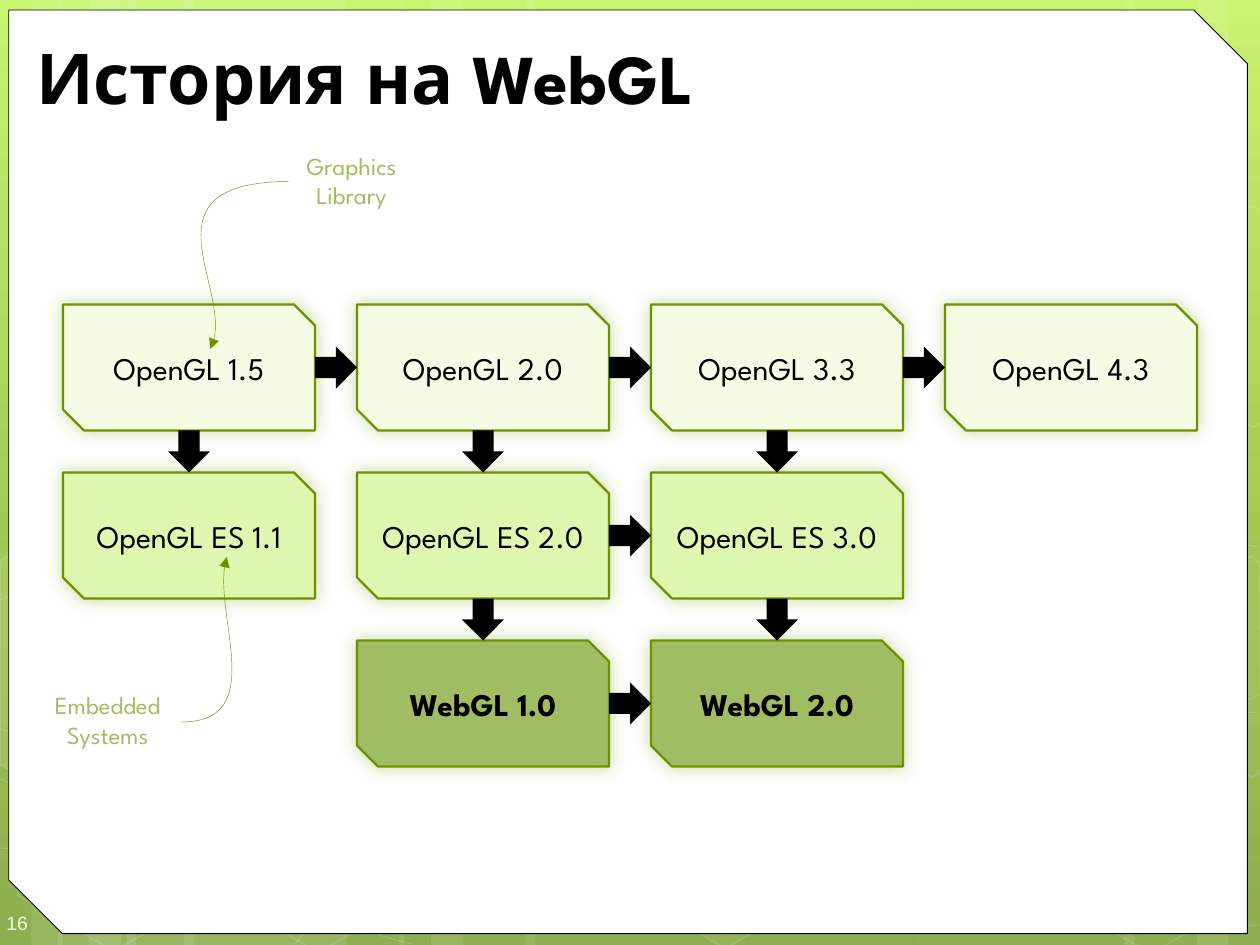
import math
import copy
from dataclasses import dataclass

import pptx
import pptx.dml.color
import pptx.enum.shapes
import pptx.enum.text
import pptx.oxml
import pptx.oxml.ns
import pptx.util

Inches = pptx.util.Inches
Pt = pptx.util.Pt
SHAPE = pptx.enum.shapes.MSO_SHAPE
ALIGN = pptx.enum.text.PP_ALIGN
ANCHOR = pptx.enum.text.MSO_ANCHOR
qn = pptx.oxml.ns.qn
NS = pptx.oxml.ns.nsdecls("a")


@dataclass(frozen=True)
class Theme:
    font: str = "League Spartan"
    number_font: str = "Arial"
    black: str = "000000"
    white: str = "FFFFFF"
    edge: str = "6D9200"
    glow: str = "74A510"
    note: str = "A1BD63"
    number: str = "EEFFD6"
    rows: tuple = ("F4FCE4", "DFF7AE", "A1BD63")
    backdrop: tuple = ((0, "C3F35F"), (0.62, "93BF3F"), (1, "81A53E"))
    title_size: int = 40
    box_size: int = 18
    note_size: int = 14
    number_size: int = 11


THEME = Theme()

# Diagram grid: boxes of 2 x 1 inches with gaps of a third of an inch
LEFT, TOP, BOX_W, BOX_H, GAP = 0.5, 29 / 12, 2, 1, 1 / 3
BOXES = [
    ["OpenGL 1.5", "OpenGL 2.0", "OpenGL 3.3", "OpenGL 4.3"],
    ["OpenGL ES 1.1", "OpenGL ES 2.0", "OpenGL ES 3.0"],
    [None, "WebGL 1.0", "WebGL 2.0"],
]

# Translucent backdrop: left, width and rotation of each band
BANDS = [(1, 1.75, 0), (0, 0.5, 0), (0.25, 0.83, 0), (1.46, 1.75, 0), (0.46, 0.5, 0), (0.71, 0.83, 0),
         (7.25, 1.75, 180), (9.5, 0.5, 180), (8.92, 0.83, 180),
         (4.17, 3.08, 0), (3.17, 0.5, 0), (3.42, 0.83, 0)]
# Each curve is a start point followed by groups of three Bezier points
CURVES = [
    [(-0.01, 6.73), (0.53, 6.76), (1.07, 6.79), (1.82, 6.78), (2.57, 6.77), (3.49, 6.75), (4.5, 6.65),
     (5.5, 6.55), (6.92, 6.36), (7.83, 6.17), (8.75, 5.98), (9.69, 5.68), (9.99, 5.51)],
    [(-0.01, 4.77), (0.28, 4.61), (0.56, 4.46), (1.13, 4.31), (1.7, 4.16), (2.5, 3.94), (3.39, 3.87),
     (4.28, 3.8), (5.36, 3.79), (6.46, 3.87), (7.56, 3.95), (9.39, 4.26), (9.99, 4.34)],
    [(-0.02, 6.17), (1.18, 6.72), (2.39, 7.27), (3.26, 7.49)],
    [(-0.01, 5.78), (0.3, 5.89), (0.61, 6), (1.2, 6.16), (1.78, 6.31), (2.65, 6.56), (3.48, 6.73),
     (4.32, 6.9), (5.37, 7.08), (6.2, 7.18), (7.02, 7.29), (7.91, 7.33), (8.44, 7.36),
     (8.97, 7.4), (9.11, 7.38), (9.37, 7.38), (9.62, 7.37), (9.81, 7.35), (9.99, 7.34)],
    [(2.34, 7.49), (2.52, 7.29), (2.69, 7.09), (2.94, 6.91), (3.18, 6.73), (3.51, 6.53), (3.79, 6.39),
     (4.07, 6.25), (4.24, 6.19), (4.61, 6.09), (4.98, 5.99), (5.65, 5.85), (6, 5.78),
     (6.35, 5.71), (6.41, 5.71), (6.72, 5.69), (7.03, 5.66), (7.51, 5.63), (7.86, 5.62),
     (8.2, 5.61), (8.78, 5.62), (8.78, 5.62), (9, 5.62), (9.22, 5.62), (9.44, 5.62),
     (9.63, 5.63), (9.8, 5.64), (9.88, 5.65), (9.97, 5.66), (9.94, 5.65), (9.98, 5.66)],
]
# Left, top, fill opacity and line opacity of the honeycomb cells
HEXAGONS = [(3.28, 3.13, 10, 12), (4.07, 4.51, 0, 12), (4.08, 1.74, 7, 8), (3.26, 0.36, 4, 8),
            (4.88, 5.89, 6, 12), (0.03, 5.91, 0, 12), (0.06, 3.12, 7, 8), (0.85, 4.51, 0, 12),
            (1.65, 5.92, 0, 12), (1.67, 3.13, 7, 8), (0.87, 1.71, 0, 12), (7.44, 4.53, 10, 12),
            (8.26, 5.93, 0, 12), (8.26, 3.14, 7, 8)]
# Cells cut off by the slide's sides: corners, centre of rotation, fill opacity
CUT_HEXAGONS = [
    ([(0, 4.45), (0.11, 4.38), (0.87, 4.82), (0.87, 5.7), (0.12, 6.14), (0, 6.07)], (0.27, 5.35), 10),
    ([(9.18, 4.85), (9.93, 4.41), (10, 4.46), (10.01, 6.13), (9.94, 6.17), (9.17, 5.73)], (9.77, 5.2), 4),
    ([(9.18, 2.07), (9.93, 1.63), (10.01, 1.68), (10.01, 3.35), (9.94, 3.39), (9.17, 2.95)], (9.77, 2.41), 0),
]


def rgb(value):
    return pptx.dml.color.RGBColor.from_string(value)


def set_paint(fill, color, opacity=100):
    """Fill with a colour; no opacity or no colour means no fill."""
    if not color or not opacity:
        fill.background()
        return
    fill.solid()
    fill.fore_color.rgb = rgb(color)
    if opacity < 100:
        node = fill._xPr.find(qn("a:solidFill")).find(qn("a:srgbClr"))
        node.append(pptx.oxml.parse_xml(f'<a:alpha {NS} val="{opacity * 1000}"/>'))


def style(sp, fill=None, opacity=100, line=None, width=1, line_opacity=100):
    sp.shadow.inherit = False
    set_paint(sp.fill, fill, opacity)
    set_paint(sp.line.fill, line, line_opacity)
    if line:
        sp.line.width = Pt(width)
    return sp


def add_shape(slide, kind, x, y, w, h, **look):
    sp = slide.shapes.add_shape(kind, Inches(x), Inches(y), Inches(w), Inches(h))
    return style(sp, **look)


def add_outline(slide, points, closed=False, **look):
    (x, y), *rest = [(Inches(px), Inches(py)) for px, py in points]
    builder = slide.shapes.build_freeform(x, y)
    builder.add_line_segments(rest, close=closed)
    return style(builder.convert_to_shape(), **look)


def bezier_points(points, steps=24):
    """Points along a chain of cubic Bezier segments."""
    result = [points[0]]
    for i in range(0, len(points) - 1, 3):
        a, b, c, d = points[i:i + 4]
        for t in (n / steps for n in range(1, steps + 1)):
            u = 1 - t
            result.append(tuple(u**3 * a[k] + 3 * u * u * t * b[k] + 3 * u * t * t * c[k] + t**3 * d[k]
                                for k in (0, 1)))
    return result


def add_curve(slide, points, **look):
    """The sampled outline gives the frame; its segments become Bezier curves."""
    sp = add_outline(slide, bezier_points(points), **look)
    outline = sp._element.find(".//" + qn("a:pathLst"))[0]
    for segment in outline.findall(qn("a:lnTo")):
        outline.remove(segment)
    for i in range(1, len(points), 3):
        pts = "".join(f'<a:pt x="{Inches(x) - sp.left}" y="{Inches(y) - sp.top}"/>'
                      for x, y in points[i:i + 3])
        outline.append(pptx.oxml.parse_xml(f"<a:cubicBezTo {NS}>{pts}</a:cubicBezTo>"))
    return sp


def turn(point, center, degrees):
    angle = math.radians(degrees)
    dx, dy = point[0] - center[0], point[1] - center[1]
    return (center[0] + dx * math.cos(angle) - dy * math.sin(angle),
            center[1] + dx * math.sin(angle) + dy * math.cos(angle))


def add_text(slide, x, y, w, h, text, **fmt):
    write_text(slide.shapes.add_textbox(Inches(x), Inches(y), Inches(w), Inches(h)), text, **fmt)


def write_text(sp, text, size, color, font=THEME.font, bold=False, align=ALIGN.CENTER,
               wrap=False, insets=(0.1, 0.05, 0.1, 0.05), anchor=ANCHOR.MIDDLE):
    tf = sp.text_frame
    tf.word_wrap = wrap
    tf.vertical_anchor = anchor
    tf.margin_left, tf.margin_top, tf.margin_right, tf.margin_bottom = map(Inches, insets)
    tf.text = text
    for p in tf.paragraphs:
        p.alignment = align
        for r in p.runs:
            r.font.name, r.font.size, r.font.bold = font, Pt(size), bold
            r.font.color.rgb = rgb(color)


def add_box(slide, x, y, text, fill, bold):
    sp = add_shape(slide, SHAPE.SNIP_2_DIAG_RECTANGLE, x, y, BOX_W, BOX_H,
                   fill=fill, line=THEME.edge, width=1.25)
    write_text(sp, text, THEME.box_size, THEME.black, bold=bold, insets=(0, 0.05, 0, 0.05))
    sp._element.spPr.find(qn("a:effectLst")).append(pptx.oxml.parse_xml(
        f'<a:outerShdw {NS} blurRad="{Pt(10)}" dist="0" dir="2700000" rotWithShape="0">'
        f'<a:srgbClr val="{THEME.glow}"><a:alpha val="40000"/></a:srgbClr></a:outerShdw>'))


def add_arrow(slide, x, y, rotation=0):
    add_shape(slide, SHAPE.RIGHT_ARROW, x, y, GAP, GAP, fill=THEME.black).rotation = rotation


def add_callout(slide, x, y, w, h, text, curve):
    add_text(slide, x, y, w, h, text, size=THEME.note_size, color=THEME.note, anchor=ANCHOR.TOP)
    sp = add_curve(slide, curve, line=THEME.edge, width=0.25)
    sp.line._get_or_add_ln().append(pptx.oxml.parse_xml(f'<a:tailEnd {NS} type="triangle"/>'))


def add_backdrop(slide):
    # Gradient
    fill = slide.background.fill
    fill.gradient()
    fill.gradient_angle = 270
    stops = slide._element.find(".//" + qn("a:gsLst"))
    stops.append(copy.deepcopy(stops[-1]))
    for stop, (position, color) in zip(fill.gradient_stops, THEME.backdrop):
        stop.position = position
        stop.color.rgb = rgb(color)
    # Bands, curves and honeycomb
    for x, w, rotation in BANDS:
        add_shape(slide, SHAPE.RECTANGLE, x, 0, w, 7.5, fill=THEME.white, opacity=10).rotation = rotation
    for curve in CURVES:
        add_curve(slide, curve, line=THEME.white, width=0.5, line_opacity=20)
    look = dict(fill=THEME.white, line=THEME.white)
    for x, y, opacity, line_opacity in HEXAGONS:
        sp = add_shape(slide, SHAPE.HEXAGON, x, y, 1.75, 1.52,
                       opacity=opacity, line_opacity=line_opacity, **look)
        sp.adjustments[0], sp.adjustments[1] = 0.285, 1.155
        sp.rotation = 30
    for points, center, opacity in CUT_HEXAGONS:
        upright = [turn(point, center, -30) for point in points]
        add_outline(slide, upright, closed=True, opacity=opacity, line_opacity=12, **look).rotation = 30
    # White panel
    sp = add_shape(slide, SHAPE.SNIP_2_DIAG_RECTANGLE, 0.07, 0.08, 9.83, 7.33,
                   fill=THEME.white, line=THEME.black, width=0.5)
    sp.adjustments[0], sp.adjustments[1] = 0, 0.058


def add_diagram(slide):
    cells = {(row, col): (LEFT + col * (BOX_W + GAP), TOP + row * (BOX_H + GAP))
             for row, names in enumerate(BOXES) for col, name in enumerate(names) if name}
    for (row, col), (x, y) in cells.items():
        add_box(slide, x, y, BOXES[row][col], THEME.rows[row], bold=row == 2)
    # Arrows to the next box, except between the first two ES versions
    for (row, col), (x, y) in cells.items():
        if (row, col + 1) in cells and (row, col) != (1, 0):
            add_arrow(slide, x + BOX_W, y + (BOX_H - GAP) / 2)
        if (row + 1, col) in cells:
            add_arrow(slide, x + (BOX_W - GAP) / 2, y + BOX_H, rotation=90)


def main():
    prs = pptx.Presentation()
    prs.slide_width, prs.slide_height = Inches(10), Inches(7.5)
    slide = prs.slides.add_slide(prs.slide_layouts[6])
    add_backdrop(slide)
    # Slide number and title
    add_text(slide, 0, 7.1, 0.58, 0.4, "16", size=THEME.number_size, color=THEME.number,
             font=THEME.number_font, align=ALIGN.LEFT, wrap=True, insets=(0.05, 0.15, 0, 0.1))
    add_text(slide, 0.19, 0.25, 9.47, 0.71, "История на WebGL", size=THEME.title_size,
             color=THEME.black, bold=True, align=ALIGN.LEFT, wrap=True)
    add_diagram(slide)
    # Explanations of the abbreviations
    add_callout(slide, 0.21, 5.43, 1.29, 0.57, "Embedded\vSystems",
                [(1.44, 5.73), (2.12, 5.73), (1.67, 4.84), (1.8, 4.42)])
    add_callout(slide, 2.26, 1.15, 1.06, 0.57, "Graphics\nLibrary",
                [(2.29, 1.44), (1.11, 1.45), (1.89, 2.34), (1.67, 2.77)])
    prs.save("out.pptx")


if __name__ == "__main__":
    main()
